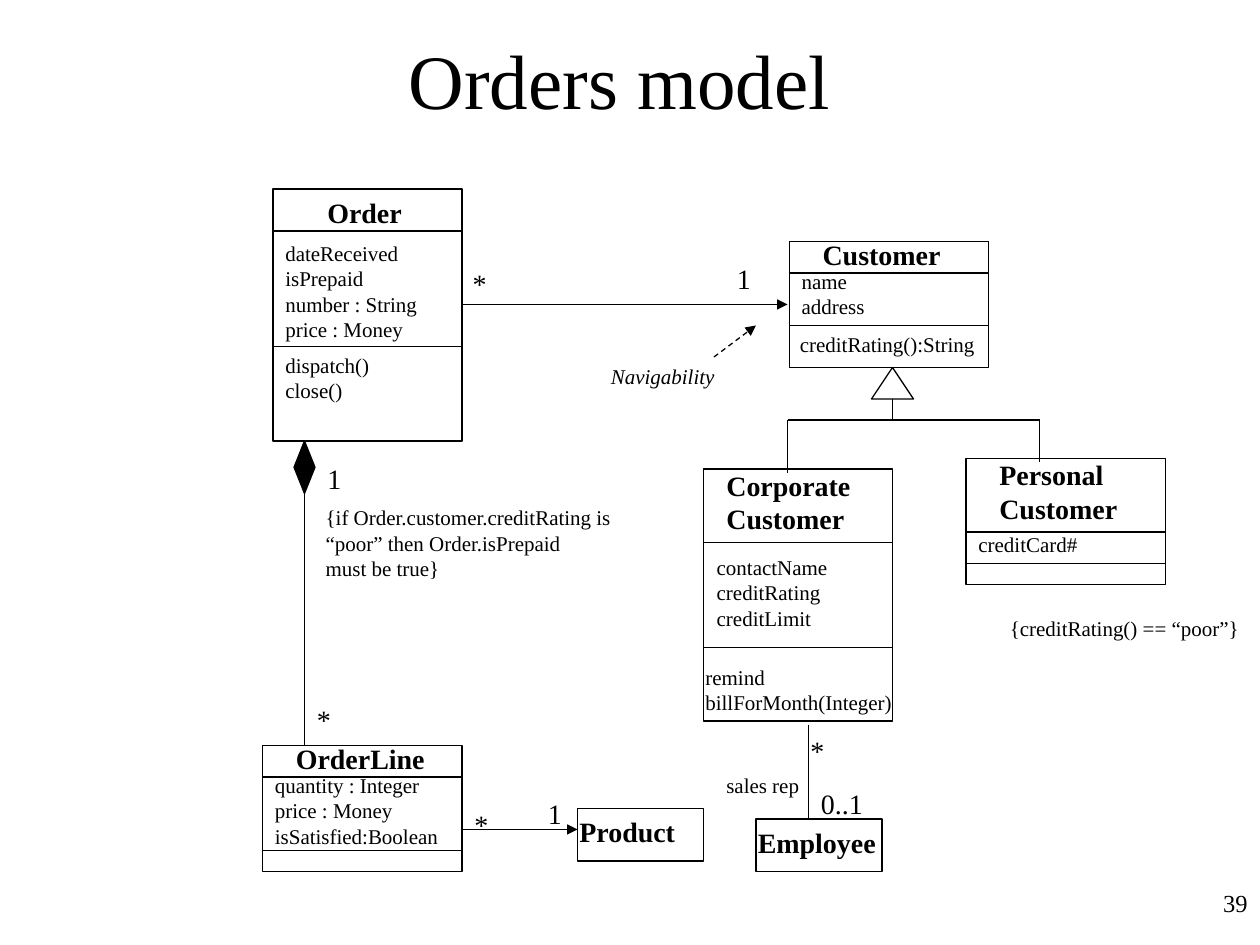
from pptx import Presentation
from pptx.dml.color import RGBColor as Rgb
from pptx.enum.dml import MSO_LINE as Dash
from pptx.enum.shapes import MSO_CONNECTOR as Wire, MSO_SHAPE as Shape
from pptx.enum.text import MSO_ANCHOR as Anchor, MSO_AUTO_SIZE as Auto, PP_ALIGN as Align
from pptx.oxml.ns import qn
from pptx.util import Pt
from lxml.etree import SubElement as Sub

INK = "000000"
PAPER = "FFFFFF"
FACE = "Times New Roman"

BOXES = [
    ((156, 108, 108, 144), (132, 198),
     (180, 108, 59, "Order"),
     [(156, 134, 91, "dateReceived\nisPrepaid\nnumber : String\nprice : Money"),
      (156, 198, 64, "dispatch()\nclose()")]),
    ((402, 268, 108, 144), (310, 370),
     (408, 264, 87, "Corporate\nCustomer"),
     [(402.5, 313.5, 80, "contactName\ncreditRating\ncreditLimit"),
      (396, 376, 123, "remind\nbillForMonth(Integer)")]),
    ((451, 138, 114, 72), (156, 186),
     (463, 132, 83, "Customer"),
     [(451, 150, 52, "name\naddress"),
      (450, 186, 117, "creditRating():String")]),
    ((150, 426, 114, 72), (444, 486),
     (162, 420, 90, "OrderLine"),
     [(150, 438, 109, "quantity : Integer\nprice : Money\nisSatisfied:Boolean")]),
    ((552, 262, 114, 72), (304, 322),
     (564, 258, 83, "Personal\nCustomer"),
     [(552, 300, 73, "creditCard#")]),
    ((432, 468, 72, 30), (), (426, 468, 83, "Employee"), []),
    ((330, 462, 72, 30), (), (324, 462, 71, "Product"), []),
]

LINKS = [
    (510, 228, 510, 240),
    (450, 240, 594, 240),
    (450, 240, 450, 270),
    (594, 240, 594, 264),
    (174, 282, 174, 426),
    (462, 414, 462, 468),
]

ARROWS = [(264, 174, 450, 174), (264, 474, 330, 474)]

COUNTS = [
    (263, 149, 24, "*"),
    (414, 146, 24, "1"),
    (174, 398, 24, "*"),
    (180, 260, 24, "1"),
    (264, 458, 24, "*"),
    (306, 451.5, 24, "1"),
    (456, 415.5, 24, "*"),
    (462, 446, 40, "0..1"),
]

NOTES = [
    (408, 438, 58, "sales rep"),
    (570, 348, 148, "{creditRating() == “poor”}"),
    (179, 285, 181, "{if Order.customer.creditRating is\n"
                    "“poor” then Order.isPrepaid\nmust be true}"),
]


def tint(code):
    return Rgb.from_string(code)


def write(frame, text, size, bold=False, slant=False, align=Align.LEFT):
    frame.text = text
    for para in frame.paragraphs:
        para.alignment = align
        font = para.font
        font.name, font.size = FACE, Pt(size)
        font.bold, font.italic = bold, slant
        font.color.rgb = tint(INK)


def label(shapes, x, y, wide, text, size=12, bold=False, slant=False):
    rows = text.count("\n") + 1
    high = rows * size * 1.2 + 7.2
    frame = shapes.add_textbox(Pt(x), Pt(y), Pt(wide), Pt(high)).text_frame
    frame.word_wrap = False
    frame.auto_size = Auto.SHAPE_TO_FIT_TEXT
    write(frame, text, size, bold, slant)


def block(shapes, x, y, wide, high, text, size, align):
    frame = shapes.add_textbox(Pt(x), Pt(y), Pt(wide), Pt(high)).text_frame
    frame.word_wrap = True
    write(frame, text, size, align=align)
    return frame


def solid(shapes, kind, x, y, wide, high, fill=PAPER):
    form = shapes.add_shape(kind, Pt(x), Pt(y), Pt(wide), Pt(high))
    form.shadow.inherit = False
    form.fill.solid()
    form.fill.fore_color.rgb = tint(fill)
    form.line.color.rgb = tint(INK)
    form.line.width = Pt(0.75)
    return form


def link(shapes, x1, y1, x2, y2, head=False, dash=False):
    wire = shapes.add_connector(Wire.STRAIGHT, Pt(x1), Pt(y1), Pt(x2), Pt(y2))
    wire.line.color.rgb = tint(INK)
    wire.line.width = Pt(0.75)
    if dash:
        wire.line.dash_style = Dash.DASH
    if head:
        stroke = wire.element.spPr.find(qn("a:ln"))
        Sub(stroke, qn("a:tailEnd"), type="triangle")
    Sub(wire.element.spPr, qn("a:effectLst"))


def draw_class(slide, frame, rules, name, parts):
    shapes = slide.shapes.add_group_shape().shapes
    solid(shapes, Shape.RECTANGLE, *frame)
    label(shapes, *name, size=16, bold=True)
    x, _, wide, _ = frame
    for y in rules:
        link(shapes, x, y, x + wide, y)
    for part in parts:
        label(shapes, *part)


def main():
    deck = Presentation()
    deck.slide_width, deck.slide_height = Pt(720), Pt(540)
    slide = deck.slides.add_slide(deck.slide_layouts[6])
    shapes = slide.shapes

    block(shapes, 570, 504, 150, 36, "39", 14, Align.RIGHT)
    title = block(shapes, 48, 0, 612, 90, "Orders model", 44, Align.CENTER)
    title.vertical_anchor = Anchor.MIDDLE

    for box in BOXES:
        draw_class(slide, *box)

    solid(shapes, Shape.ISOSCELES_TRIANGLE, 498, 210, 24, 18)
    gem = solid(shapes, Shape.FLOWCHART_DECISION, 159, 261, 30, 12, INK)
    gem.rotation = 270
    for ends in LINKS:
        link(shapes, *ends)
    for ends in ARROWS:
        link(shapes, *ends, head=True)

    for count in COUNTS:
        label(shapes, *count, size=16)
    for note in NOTES:
        label(shapes, *note)
    label(shapes, 342, 204, 76, "Navigability", slant=True)
    link(shapes, 408, 204, 432, 186, head=True, dash=True)

    deck.save("out.pptx")


if __name__ == "__main__":
    main()
